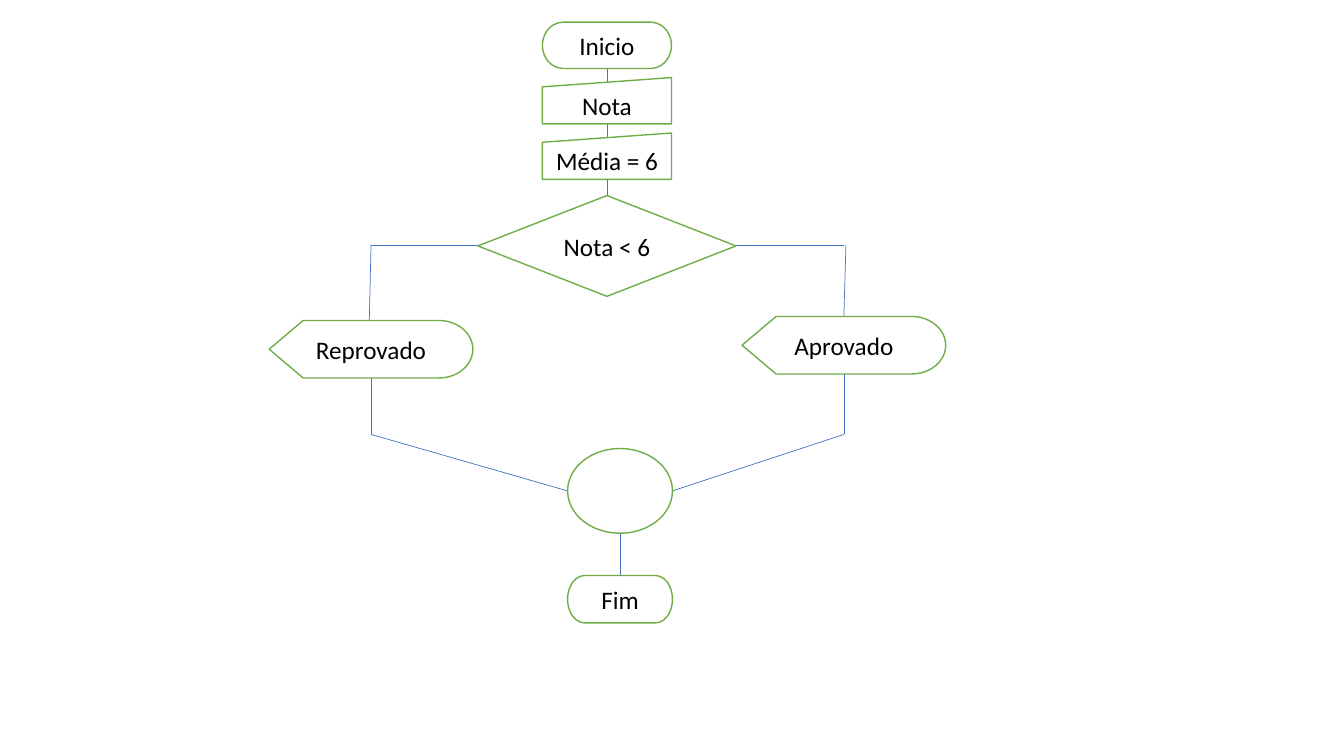
from lxml import etree
from pptx import Presentation
from pptx.dml.color import RGBColor
from pptx.enum.shapes import MSO_CONNECTOR, MSO_SHAPE
from pptx.enum.text import MSO_ANCHOR, PP_ALIGN
from pptx.oxml.ns import qn
from pptx.util import Inches, Pt

TERMINATOR = MSO_SHAPE.FLOWCHART_TERMINATOR
MANUAL_INPUT = MSO_SHAPE.FLOWCHART_MANUAL_INPUT
DECISION = MSO_SHAPE.FLOWCHART_DECISION
DISPLAY = MSO_SHAPE.FLOWCHART_DISPLAY
JUNCTION = MSO_SHAPE.FLOWCHART_CONNECTOR
STRAIGHT = MSO_CONNECTOR.STRAIGHT
MIDDLE = MSO_ANCHOR.MIDDLE
CENTER = PP_ALIGN.CENTER

WHITE = RGBColor(0xFF, 0xFF, 0xFF)
BLACK = RGBColor(0x00, 0x00, 0x00)
GREEN = RGBColor(0x70, 0xAD, 0x47)
BLUE = RGBColor(0x44, 0x72, 0xC4)

presentation = Presentation()
presentation.slide_width = Inches(13.33)
presentation.slide_height = Inches(7.5)
slide = presentation.slides.add_slide(presentation.slide_layouts[6])

MAIN_X, END_X = 6.02, 6.15
FAIL_X, PASS_X = 3.68, 8.37
STEP_TOP, STEP_PITCH, STEP_WIDTH, STEP_HEIGHT = 0.22, 0.55, 1.28, 0.46
input_tops = [STEP_TOP + STEP_PITCH * row for row in (1, 2)]
DECISION_TOP, DECISION_WIDTH, DECISION_Y = 1.94, 2.56, 2.43
FAIL_TOP, PASS_TOP, RESULT_HEIGHT = 3.18, 3.14, 0.57
BEND_Y = 4.31
JUNCTION_TOP, JUNCTION_WIDTH, JUNCTION_HEIGHT = 4.45, 1.04, 0.84
JUNCTION_Y = JUNCTION_TOP + JUNCTION_HEIGHT / 2
END_TOP = 5.71

lines = [
    (MAIN_X, top - STEP_PITCH + STEP_HEIGHT, MAIN_X, top + STEP_HEIGHT / 5)
    for top in input_tops
]
lines += [
    (MAIN_X, input_tops[-1] + STEP_HEIGHT, MAIN_X, DECISION_TOP),
    (MAIN_X - DECISION_WIDTH / 2, DECISION_Y, FAIL_X, DECISION_Y),
    (FAIL_X, DECISION_Y, FAIL_X - 0.02, 3.31),
    (MAIN_X + DECISION_WIDTH / 2, DECISION_Y, PASS_X, DECISION_Y),
    (PASS_X + 0.02, DECISION_Y, PASS_X, PASS_TOP),
    (FAIL_X, FAIL_TOP + RESULT_HEIGHT, FAIL_X, BEND_Y),
    (PASS_X, PASS_TOP + RESULT_HEIGHT, PASS_X, BEND_Y),
    (END_X - JUNCTION_WIDTH / 2, JUNCTION_Y, FAIL_X, BEND_Y),
    (END_X + JUNCTION_WIDTH / 2, JUNCTION_Y, PASS_X, BEND_Y),
    (END_X, JUNCTION_TOP + JUNCTION_HEIGHT, END_X, END_TOP),
]
for ends in lines:
    connector = slide.shapes.add_connector(STRAIGHT, *map(Inches, ends))
    connector.line.color.rgb = BLUE
    connector.line.width = Pt(0.5)
    etree.SubElement(connector._element.spPr, qn("a:effectLst"))

nodes = [
    (TERMINATOR, "Inicio", MAIN_X, STEP_TOP, STEP_WIDTH, STEP_HEIGHT),
    (MANUAL_INPUT, "Nota", MAIN_X, input_tops[0], STEP_WIDTH, STEP_HEIGHT),
    (MANUAL_INPUT, "Média = 6", MAIN_X, input_tops[1], STEP_WIDTH, STEP_HEIGHT),
    (DECISION, "Nota < 6", MAIN_X, DECISION_TOP, DECISION_WIDTH, 1),
    (DISPLAY, "Reprovado", FAIL_X, FAIL_TOP, 2.02, RESULT_HEIGHT),
    (DISPLAY, "Aprovado", PASS_X, PASS_TOP, 2.02, RESULT_HEIGHT),
    (JUNCTION, "", END_X, JUNCTION_TOP, JUNCTION_WIDTH, JUNCTION_HEIGHT),
    (TERMINATOR, "Fim", END_X, END_TOP, JUNCTION_WIDTH, 0.47),
]
for kind, label, center_x, top, width, height in nodes:
    shape = slide.shapes.add_shape(
        kind, Inches(center_x - width / 2), Inches(top), Inches(width), Inches(height)
    )
    shape.shadow.inherit = False
    shape.fill.solid()
    shape.fill.fore_color.rgb = WHITE
    shape.line.color.rgb = GREEN
    shape.line.width = Pt(1)
    if label:
        text_frame = shape.text_frame
        text_frame.text = label
        text_frame.vertical_anchor = MIDDLE
        paragraph = text_frame.paragraphs[0]
        paragraph.alignment = CENTER
        paragraph.font.name = "Calibri"
        paragraph.font.size = Pt(18)
        paragraph.font.color.rgb = BLACK

presentation.save("out.pptx")
